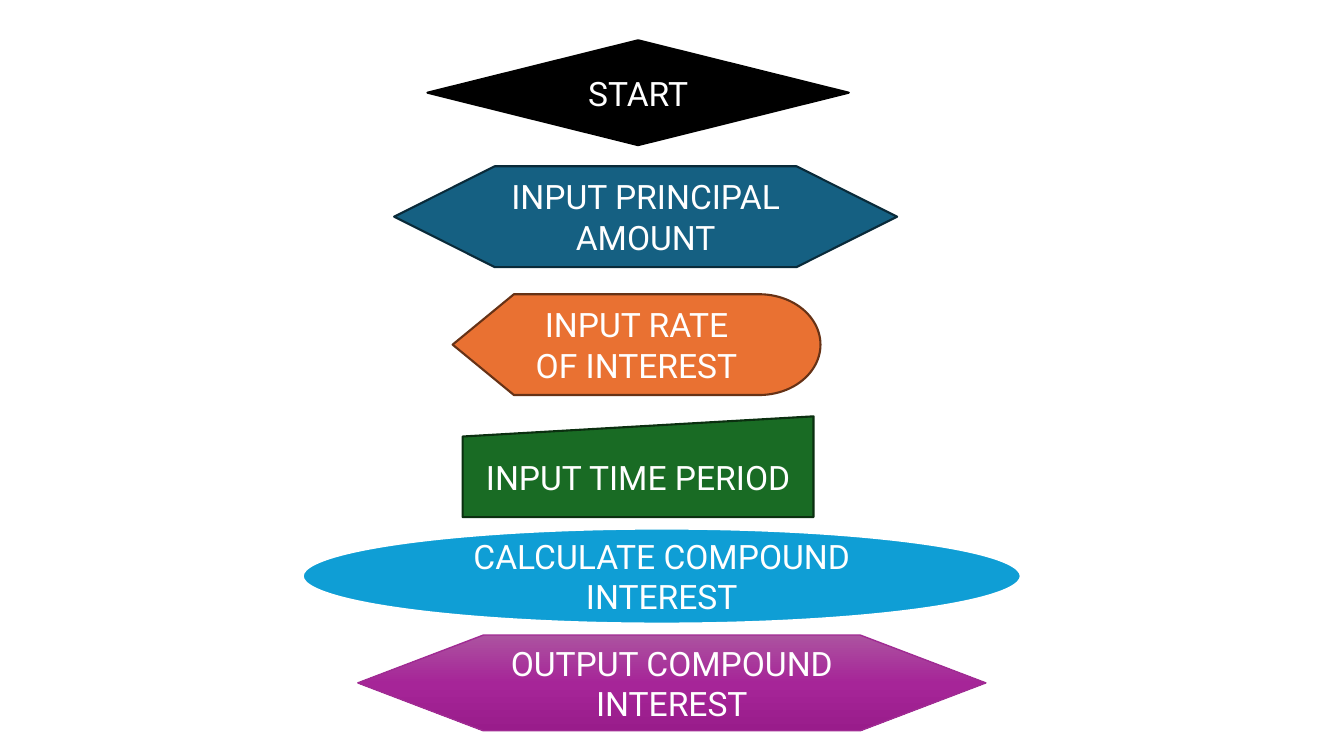
from copy import deepcopy

from pptx import Presentation
from pptx.dml.color import RGBColor
from pptx.enum.shapes import MSO_SHAPE
from pptx.enum.text import MSO_ANCHOR, PP_ALIGN
from pptx.oxml.ns import qn
from pptx.util import Pt

DECISION = MSO_SHAPE.FLOWCHART_DECISION
PREPARATION = MSO_SHAPE.FLOWCHART_PREPARATION
DISPLAY = MSO_SHAPE.FLOWCHART_DISPLAY
MANUAL_INPUT = MSO_SHAPE.FLOWCHART_MANUAL_INPUT
CONNECTOR = MSO_SHAPE.FLOWCHART_CONNECTOR
MIDDLE = MSO_ANCHOR.MIDDLE
CENTER = PP_ALIGN.CENTER

FONT = "Roboto"
BLANK_LAYOUT = 6
PURPLE_STOPS = [(0, "AC53A0"), (0.5, "A62598"), (1, "991C8B")]

STEPS = [
    ("START", DECISION, (305.3, 28.8, 301, 74.9), "000000", "000000", 1.5),
    ("INPUT PRINCIPAL AMOUNT", PREPARATION, (281.5, 118.8, 359.3, 72),
     "156082", "092A39", 1.5),
    ("INPUT RATE OF INTEREST", DISPLAY, (323.3, 210.2, 262.8, 72),
     "E97132", "663216", 1.5),
    ("INPUT TIME PERIOD", MANUAL_INPUT, (330.5, 297.4, 250.6, 72),
     "196B24", "0B2F10", 1.5),
    ("CALCULATE COMPOUND INTEREST", CONNECTOR, (216, 377.3, 513.4, 68.4),
     "0F9ED5", "FFFFFF", 2),
    ("OUTPUT COMPOUND INTEREST", PREPARATION, (255.6, 453.6, 448.6, 68.4),
     PURPLE_STOPS, "A02B93", 1),
]


def rgb(value):
    """Return the colour for a hex string."""
    return RGBColor.from_string(value)


def fill_gradient(sp, stops):
    """Fill a shape from top to bottom through the given colour stops."""
    sp.fill.gradient()
    sp.fill.gradient_angle = 270
    gs_list = sp._element.spPr.find(qn("a:gradFill")).find(qn("a:gsLst"))
    while len(gs_list) < len(stops):
        gs_list.append(deepcopy(gs_list[0]))
    for stop, (position, color) in zip(sp.fill.gradient_stops, stops):
        stop.position = position
        stop.color.rgb = rgb(color)


def add_step(s, text, kind, box, fill, line, line_width):
    """Draw one labelled flowchart step in its box."""
    sp = s.shapes.add_shape(kind, *[Pt(length) for length in box])
    sp.shadow.inherit = False
    if isinstance(fill, str):
        sp.fill.solid()
        sp.fill.fore_color.rgb = rgb(fill)
    else:
        fill_gradient(sp, fill)
    sp.line.color.rgb = rgb(line)
    sp.line.width = Pt(line_width)
    tf = sp.text_frame
    tf.word_wrap = True
    tf.vertical_anchor = MIDDLE
    p = tf.paragraphs[0]
    p.text = text
    p.alignment = CENTER
    p.font.name = FONT
    p.font.size = Pt(24)
    p.font.color.rgb = rgb("FFFFFF")


def add_flowchart_slide(prs, steps):
    """Add a slide with the flowchart steps from top to bottom."""
    s = prs.slides.add_slide(prs.slide_layouts[BLANK_LAYOUT])
    for step in steps:
        add_step(s, *step)


def main():
    """Build and save the presentation."""
    prs = Presentation()
    prs.slide_width = Pt(960)
    prs.slide_height = Pt(540)
    add_flowchart_slide(prs, STEPS)
    prs.save("out.pptx")


if __name__ == "__main__":
    main()
